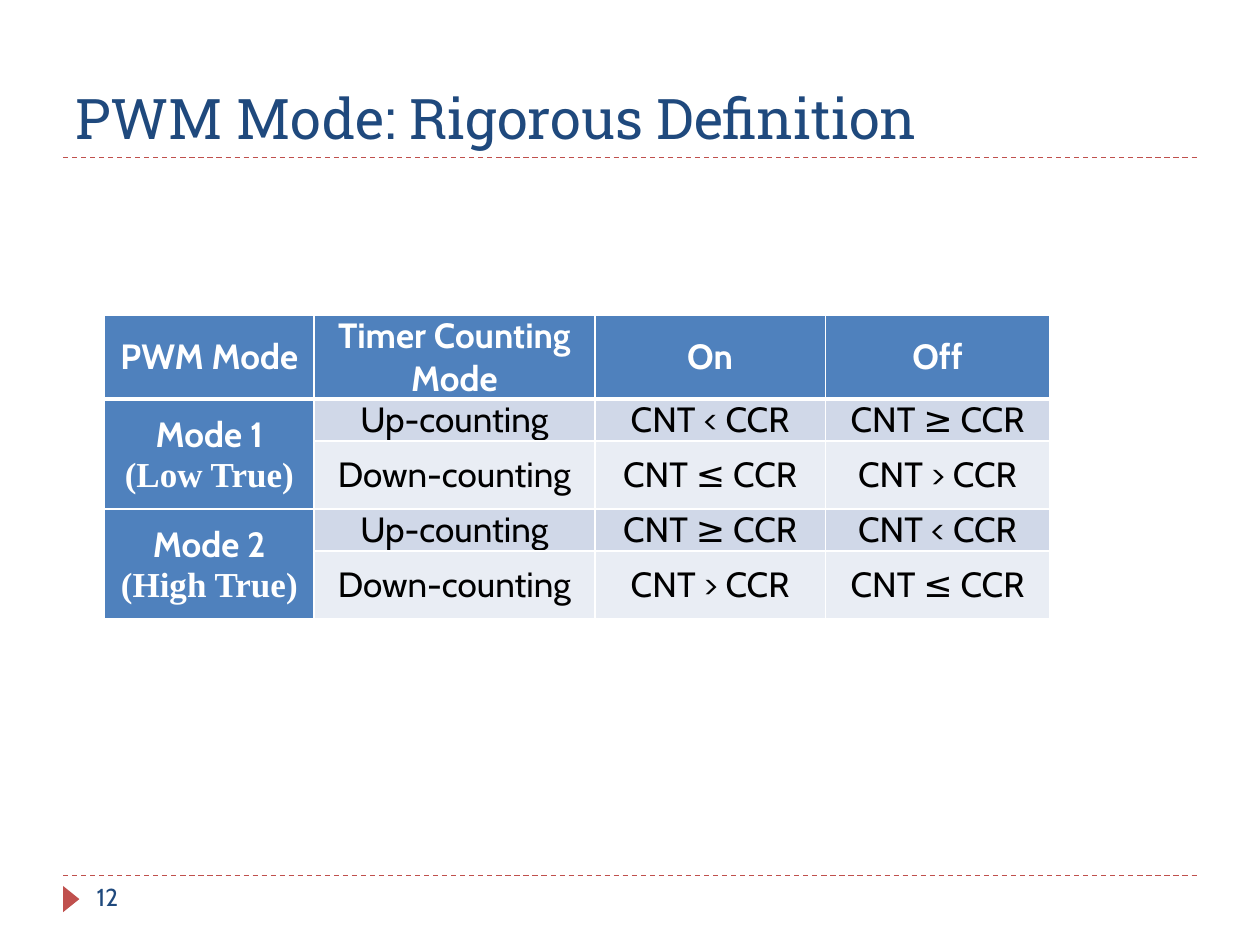
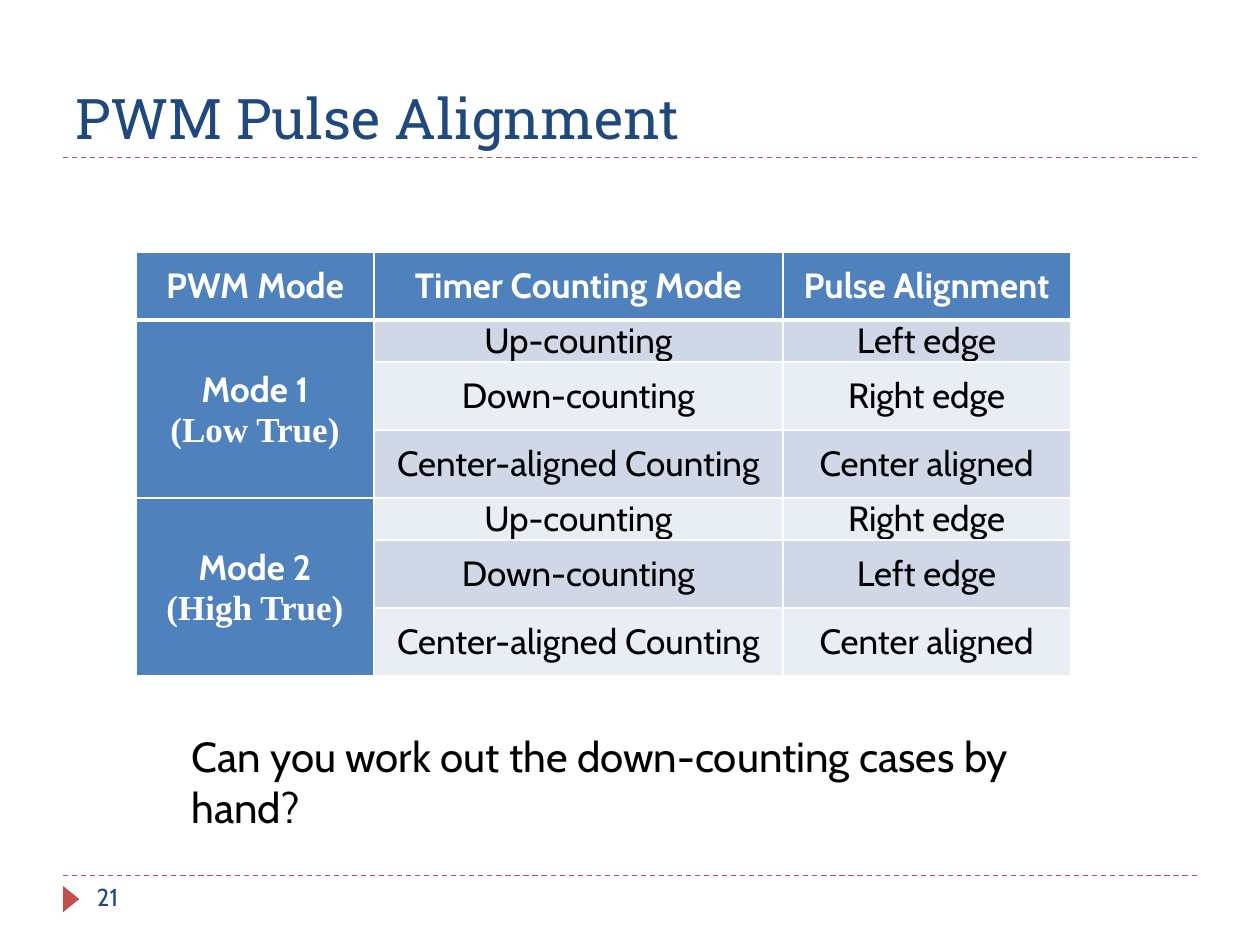
from dataclasses import dataclass

from lxml import etree
from pptx import Presentation
from pptx import util as u
from pptx.dml.color import RGBColor
from pptx.enum import dml, shapes, text
from pptx.oxml.ns import qn
from pptx.slide import Slide
from pptx.table import Table
from pptx.text.text import TextFrame

NAVY = RGBColor(0x1F, 0x49, 0x7D)
RED = RGBColor(0xC0, 0x50, 0x4D)
BLUE = RGBColor(0x4F, 0x81, 0xBD)
BAND_DARK = RGBColor(0xD0, 0xD8, 0xE8)
BAND_LIGHT = RGBColor(0xE9, 0xED, 0xF4)
WHITE = RGBColor(0xFF, 0xFF, 0xFF)
BLACK = RGBColor(0, 0, 0)

BODY_FONT = "Cabin"
TITLE_FONT = "Roboto Slab"
NOTE_FONT = "Times New Roman"

RULE_LEFT, RULE_RIGHT = 1.27, 24.13
TITLE_RULE_TOP, FOOTER_RULE_TOP = 3.18, 17.65
ROW_HEIGHT, UP_COUNTING_HEIGHT = 1.37, 0.69
UP_COUNTING = "Up-counting"


@dataclass(frozen=True)
class Mode:
    name: str
    rows: list[tuple[str, ...]]


@dataclass(frozen=True)
class ModeTable:
    left: float
    top: float
    widths: list[float]
    headers: list[str]
    modes: list[Mode]


@dataclass(frozen=True)
class Page:
    title: str
    number: int
    table: ModeTable
    question: str = ""


MODE_1 = "Mode 1\n(Low True)"
MODE_2 = "Mode 2\n(High True)"

PAGES = [
    Page("PWM Mode: Rigorous Definition", 12, ModeTable(
        2.11, 6.35, [4.22, 5.66, 4.65, 4.52],
        ["PWM Mode", "Timer Counting Mode", "On", "Off"],
        [
            Mode(MODE_1, [(UP_COUNTING, "CNT < CCR", "CNT ≥ CCR"),
                          ("Down-counting", "CNT ≤ CCR", "CNT > CCR")]),
            Mode(MODE_2, [(UP_COUNTING, "CNT ≥ CCR", "CNT < CCR"),
                          ("Down-counting", "CNT > CCR", "CNT ≤ CCR")]),
        ])),
    Page("PWM Pulse Alignment", 21, ModeTable(
        2.74, 5.08, [4.8, 8.24, 5.8],
        ["PWM Mode", "Timer Counting Mode", "Pulse Alignment"],
        [
            Mode(MODE_1, [(UP_COUNTING, "Left edge"),
                          ("Down-counting", "Right edge"),
                          ("Center-aligned Counting", "Center aligned")]),
            Mode(MODE_2, [(UP_COUNTING, "Right edge"),
                          ("Down-counting", "Left edge"),
                          ("Center-aligned Counting", "Center aligned")]),
        ]), "Can you work out the down-counting cases by hand?"),
]


def write_text(frame: TextFrame, content: str, *, size: float, color: RGBColor,
               font: str = BODY_FONT, note_font: str = NOTE_FONT, bold: bool = False,
               align: text.PP_ALIGN = text.PP_ALIGN.LEFT) -> None:
    """Write one paragraph per line; lines after the first use note_font."""
    frame.word_wrap = True
    for index, line in enumerate(content.split("\n")):
        paragraph = frame.add_paragraph() if index else frame.paragraphs[0]
        paragraph.alignment = align
        run = paragraph.add_run()
        run.text = line
        run.font.name = note_font if index else font
        run.font.size = u.Pt(size)
        run.font.bold = bold
        run.font.color.rgb = color


def add_text(slide: Slide, content: str, left: float, top: float, width: float,
             height: float, *, anchor: text.MSO_ANCHOR = text.MSO_ANCHOR.TOP,
             **text_format) -> None:
    box = slide.shapes.add_textbox(u.Cm(left), u.Cm(top), u.Cm(width), u.Cm(height))
    box.text_frame.vertical_anchor = anchor
    write_text(box.text_frame, content, **text_format)


def add_rule(slide: Slide, top: float) -> None:
    rule = slide.shapes.add_connector(
        shapes.MSO_CONNECTOR.STRAIGHT,
        u.Cm(RULE_LEFT), u.Cm(top), u.Cm(RULE_RIGHT), u.Cm(top))
    rule.line.color.rgb = RED
    rule.line.width = u.Pt(0.75)
    rule.line.dash_style = dml.MSO_LINE.DASH
    etree.SubElement(rule.line._get_or_add_ln().getparent(), qn("a:effectLst"))


def add_frame(slide: Slide, page: Page) -> None:
    """Draw the title, both rules, the footer marker and the page number."""
    add_rule(slide, FOOTER_RULE_TOP)
    add_rule(slide, TITLE_RULE_TOP)
    marker = slide.shapes.add_shape(
        shapes.MSO_SHAPE.ISOSCELES_TRIANGLE,
        u.Cm(1.17), u.Cm(17.96), u.Cm(0.53), u.Cm(0.33))
    marker.rotation = 90
    marker.shadow.inherit = False
    marker.fill.solid()
    marker.fill.fore_color.rgb = RED
    marker.line.fill.background()
    add_text(slide, page.title, RULE_LEFT, 0.43, 22.86, 2.74, size=32, color=NAVY,
             font=TITLE_FONT, anchor=text.MSO_ANCHOR.BOTTOM)
    add_text(slide, str(page.number), 1.7, FOOTER_RULE_TOP, 5.51, 1.02,
             size=14, color=NAVY)


def style_cell(table: Table, row: int, column: int, fill: RGBColor) -> None:
    cell = table.cell(row, column)
    cell.margin_left = cell.margin_right = u.Cm(0.2)
    cell.margin_top = cell.margin_bottom = 0
    cell.vertical_anchor = text.MSO_ANCHOR.MIDDLE
    properties = cell._tc.get_or_add_tcPr()
    heavy_side = {0: "B", 1: "T"}.get(row)
    for side in "LRTB":
        width = u.Pt(3 if side == heavy_side else 1)
        border = etree.SubElement(properties, qn(f"a:ln{side}"), w=str(width))
        solid = etree.SubElement(border, qn("a:solidFill"))
        etree.SubElement(solid, qn("a:srgbClr"), val=str(WHITE))
    cell.fill.solid()
    cell.fill.fore_color.rgb = fill


def fill_cell(table: Table, row: int, column: int, content: str) -> None:
    is_heading = row == 0 or column == 0
    write_text(table.cell(row, column).text_frame, content, size=20, bold=is_heading,
               color=WHITE if is_heading else BLACK, align=text.PP_ALIGN.CENTER)


def add_mode_table(slide: Slide, layout: ModeTable) -> None:
    body = [row for mode in layout.modes for row in mode.rows]
    heights = [ROW_HEIGHT] + [
        UP_COUNTING_HEIGHT if row[0] == UP_COUNTING else ROW_HEIGHT for row in body]
    table = slide.shapes.add_table(
        len(heights), len(layout.widths), u.Cm(layout.left), u.Cm(layout.top),
        u.Cm(sum(layout.widths)), u.Cm(sum(heights))).table
    for column, width in zip(table.columns, layout.widths):
        column.width = u.Cm(width)
    for index, height in enumerate(heights):
        table.rows[index].height = u.Cm(height)
        band = BAND_DARK if index % 2 else BAND_LIGHT
        for column in range(len(layout.widths)):
            style_cell(table, index, column,
                       BLUE if index == 0 or column == 0 else band)

    for column, header in enumerate(layout.headers):
        fill_cell(table, 0, column, header)
    for index, row in enumerate(body, start=1):
        for column, content in enumerate(row, start=1):
            fill_cell(table, index, column, content)
    first = 1
    for mode in layout.modes:
        last = first + len(mode.rows) - 1
        table.cell(first, 0).merge(table.cell(last, 0))
        fill_cell(table, first, 0, mode.name)
        first = last + 1


def main() -> None:
    presentation = Presentation()
    presentation.slide_width, presentation.slide_height = u.Cm(25.4), u.Cm(19.05)
    for page in PAGES:
        slide = presentation.slides.add_slide(presentation.slide_layouts[6])
        add_frame(slide, page)
        add_mode_table(slide, page.table)
        if page.question:
            add_text(slide, page.question, 3.61, 14.61, 18.9, 1.27,
                     size=24, color=BLACK)
    presentation.save("out.pptx")


if __name__ == "__main__":
    main()
